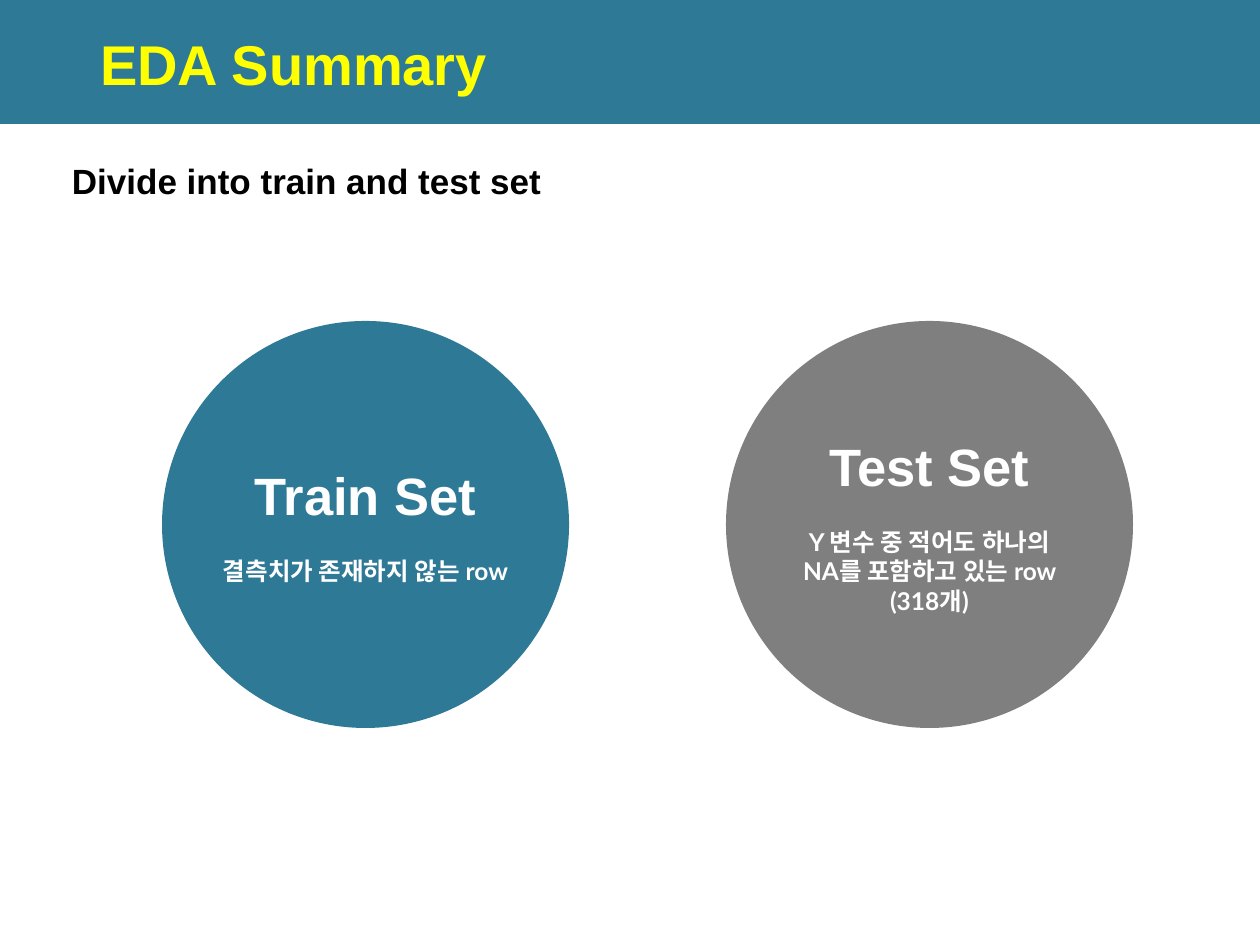
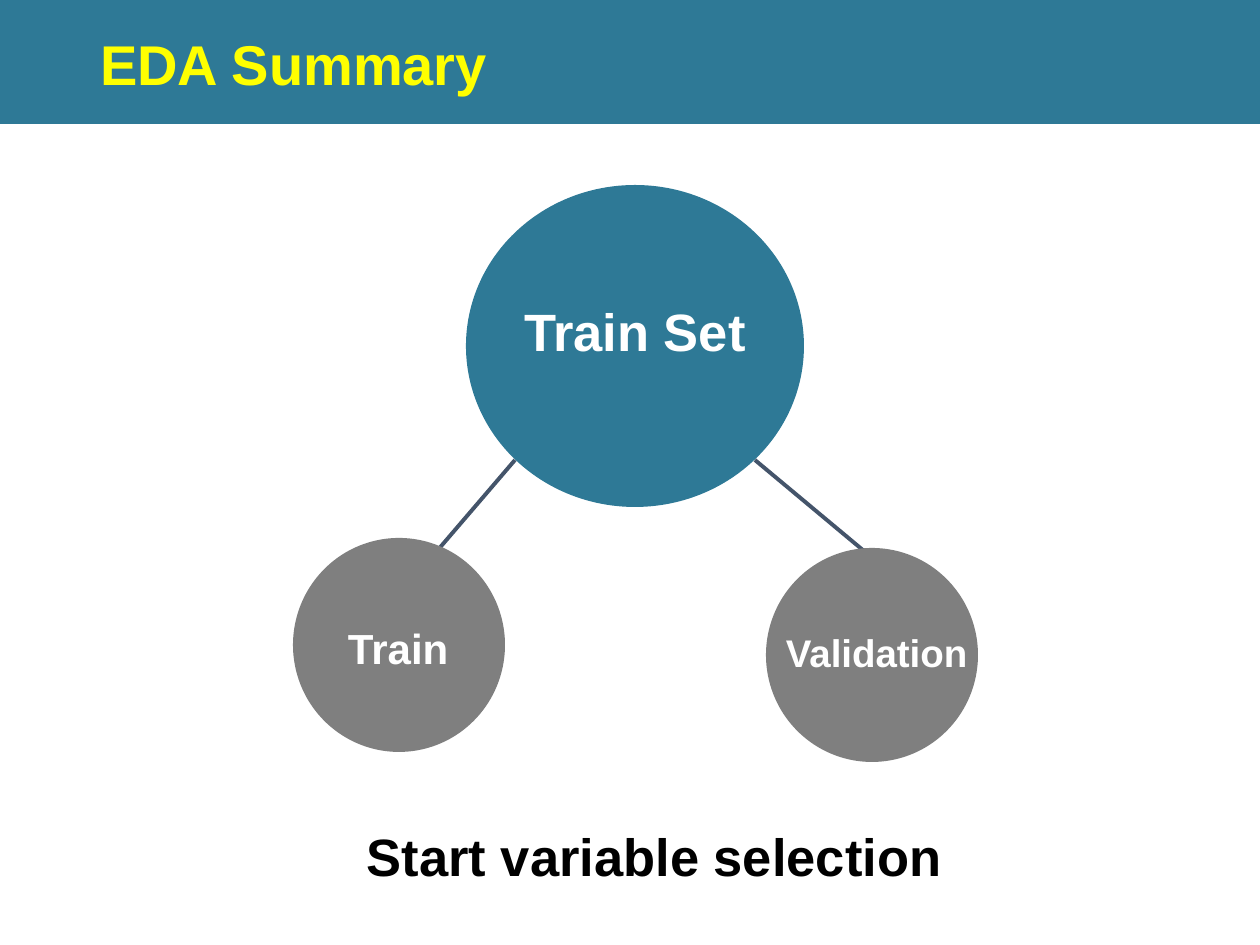
from lxml import etree
from pptx import Presentation
from pptx.dml.color import RGBColor
from pptx.enum.shapes import MSO_CONNECTOR as Connector, MSO_SHAPE as Shape
from pptx.enum.text import MSO_ANCHOR as Anchor, PP_ALIGN as Align
from pptx.oxml.ns import qn
from pptx.util import Emu, Pt

PX_PER_INCH = 126
COLORS = {
    "teal": "2E7996",
    "gray": "7F7F7F",
    "navy": "44546A",
    "yellow": "FFFF00",
    "white": "FFFFFF",
    "black": "000000",
}
HEADING_FONT = "Arial"
BODY_FONT = "Lato"
NO_INSETS = (0, 0, 0, 0)
TIGHT_INSETS = (13, 6, 13, 6)
LABEL_INSETS = (13, 13, 13, 13)


def px(length):
    return Emu(round(length * 914400 / PX_PER_INCH))


def color(name):
    return RGBColor.from_string(COLORS[name])


class Deck:
    """Holds the shared style and the slide being filled."""

    def __init__(self, width, height):
        self.presentation = Presentation()
        self.presentation.slide_width = px(width)
        self.presentation.slide_height = px(height)
        self.width = width
        self.slide = None

    def add_slide(self, title):
        layout = self.presentation.slide_layouts[6]
        self.slide = self.presentation.slides.add_slide(layout)
        self.shape(Shape.RECTANGLE, (0, 0, self.width, 124), "teal")
        self.label(title, (87, 28, 1142, 79), 32, "yellow",
                   TIGHT_INSETS, Anchor.MIDDLE, 0.9)

    def shape(self, kind, box, fill):
        shape = self.slide.shapes.add_shape(kind, *map(px, box))
        shape.shadow.inherit = False
        shape.fill.solid()
        shape.fill.fore_color.rgb = color(fill)
        shape.line.fill.background()
        return shape

    def frame(self, shape, insets, anchor):
        frame = shape.text_frame
        frame.word_wrap = True
        frame.vertical_anchor = anchor
        (frame.margin_left, frame.margin_top,
         frame.margin_right, frame.margin_bottom) = map(px, insets)
        return frame

    def set_text(self, paragraph, text, size, text_color, font=HEADING_FONT):
        paragraph.text = text
        for run in paragraph.runs:
            run.font.name = font
            run.font.size = Pt(size)
            run.font.bold = True
            run.font.color.rgb = color(text_color)

    def label(self, text, box, size, text_color, insets=LABEL_INSETS,
              anchor=Anchor.TOP, line_spacing=1.0):
        text_box = self.slide.shapes.add_textbox(*map(px, box))
        paragraph = self.frame(text_box, insets, anchor).paragraphs[0]
        paragraph.line_spacing = line_spacing
        self.set_text(paragraph, text, size, text_color)

    def set_circle(self, name, box, fill, insets=NO_INSETS, description=None):
        """Draw a data set as an ellipse with its name and what it contains."""
        circle = self.shape(Shape.OVAL, box, fill)
        frame = self.frame(circle, insets, Anchor.MIDDLE)
        heading = frame.paragraphs[0]
        heading.alignment = Align.CENTER
        self.set_text(heading, name, 30, "white")
        if description:
            body = frame.add_paragraph()
            body.alignment = Align.CENTER
            body.space_before = Pt(17)
            self.set_text(body, description, 14, "white", BODY_FONT)

    def line(self, start, end):
        connector = self.slide.shapes.add_connector(
            Connector.STRAIGHT, *map(px, start + end))
        connector.line.color.rgb = color("navy")
        connector.line.width = Pt(2.25)
        etree.SubElement(connector.element.spPr, qn("a:effectLst"))


def add_division_slide(deck):
    deck.add_slide("EDA Summary")
    deck.label("Divide into train and test set", (59, 140, 934, 77), 20,
               "black", line_spacing=1.15)
    top, diameter = 321, 407
    deck.set_circle("Train Set", (162, top, diameter, diameter), "teal",
                    description="결측치가 존재하지 않는 row")
    deck.set_circle("Test Set", (726, top, diameter, diameter), "gray", TIGHT_INSETS,
                    "Y 변수 중 적어도 하나의 NA를 포함하고 있는 row (318개)")


def add_validation_slide(deck):
    deck.add_slide("EDA Summary")
    deck.label("Start variable selection", (354, 811, 606, 77), 30, "black")
    deck.set_circle("Train Set", (466, 185, 338, 322), "teal", (0, 0, 0, 30))
    branches = [
        ("Train", 24, (293, 538), (335, 610, 145, 77), (515, 460), (437, 551)),
        ("Validation", 22, (766, 548), (773, 616, 227, 77), (755, 460), (864, 551)),
    ]
    for name, size, corner, label_box, start, end in branches:
        deck.line(start, end)
        deck.shape(Shape.FLOWCHART_CONNECTOR, corner + (212, 214), "gray")
        deck.label(name, label_box, size, "white")


def main():
    deck = Deck(1260, 945)
    add_division_slide(deck)
    add_validation_slide(deck)
    deck.presentation.save("out.pptx")


if __name__ == "__main__":
    main()
